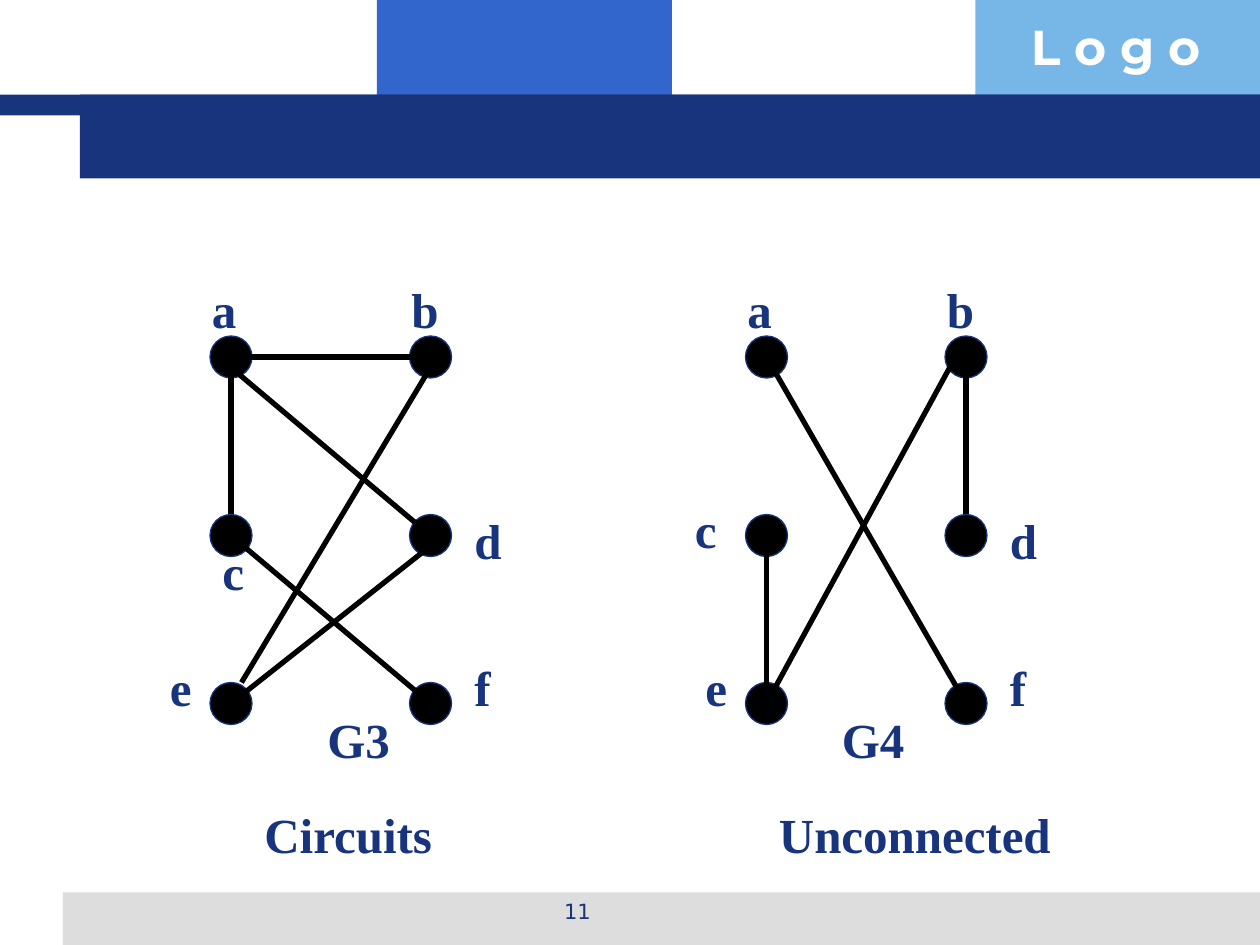
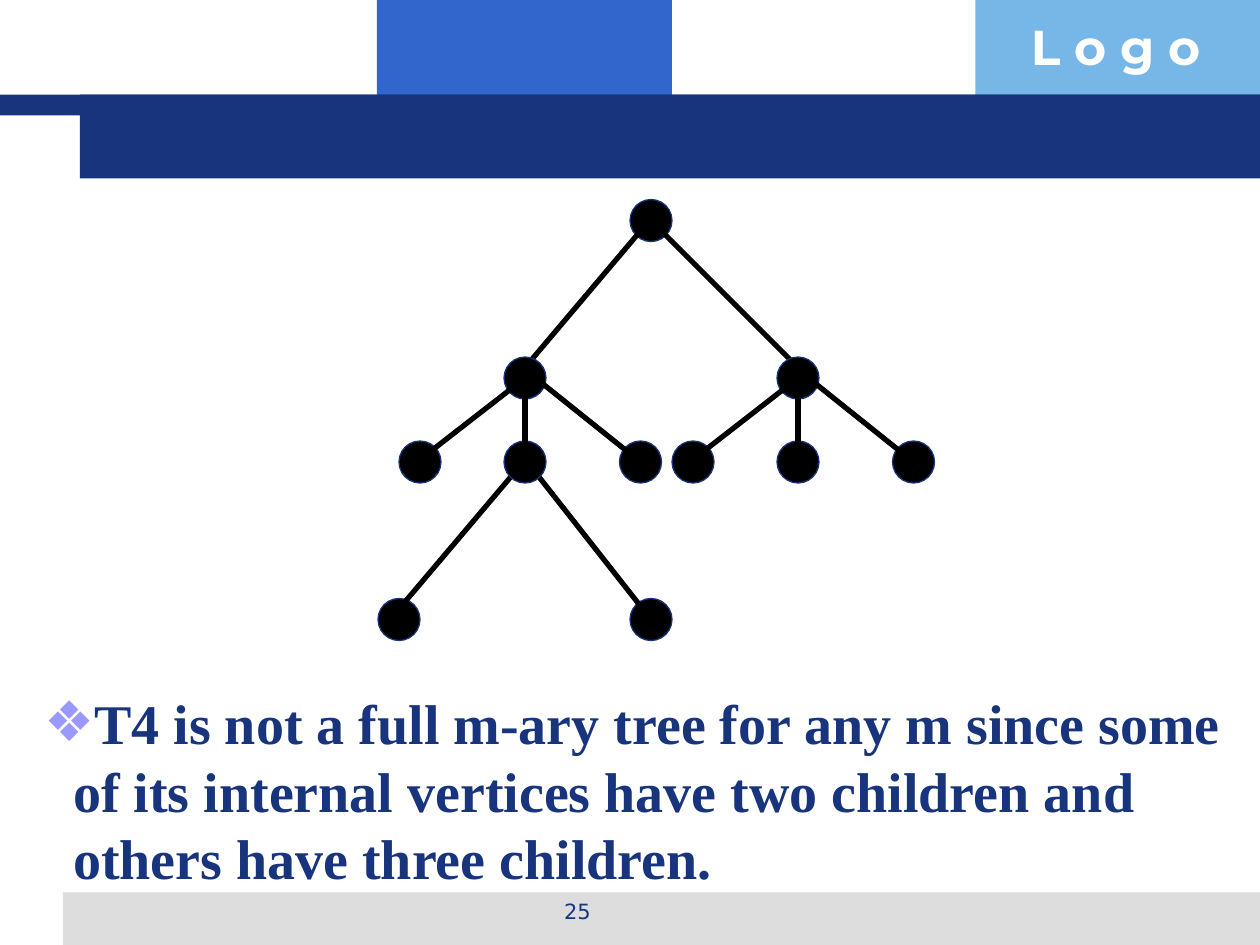
from lxml import etree
from pptx import Presentation, util as u
from pptx.dml.color import RGBColor
from pptx.enum import shapes, text
from pptx.oxml import ns

NAVY = RGBColor(0x17, 0x34, 0x7D)
BLUE = RGBColor(0x33, 0x66, 0xCC)
SKY = RGBColor(0x77, 0xB7, 0xE7)
GREY = RGBColor(0xDD, 0xDD, 0xDD)
BLACK = RGBColor(0, 0, 0)
WHITE = RGBColor(0xFF, 0xFF, 0xFF)
LILAC = RGBColor(0x99, 0x99, 0xFF)

SERIF, SANS, LOGO_FONT = "Times New Roman", "DejaVu Sans", "Montserrat"
COLUMNS, ROWS = 120, 90
VERTEX_SIZE = 4
LABEL_HEIGHT = 6.8

# left, top, width, height in grid cells
BANDS = [
    (35.9, 0, 28.1, 11, BLUE),
    (92.9, 0, 27.1, 11, SKY),
    (6, 85, 114, 5, GREY),
    (0, 9, 120, 2, NAVY),
    (7.6, 9, 112.4, 8, NAVY),
]

# Graph geometry, relative to the left edge of each graph
GRAPH_VERTICES = [(x, y) for x in (22, 41) for y in (34, 51, 67)]
GRAPH_LABELS = {"a": (19, 26), "b": (38, 26), "c": (20, 51),
                "d": (44, 48), "e": (15, 62), "f": (44, 62)}
G3_EDGES = [(22, 35, 22, 49), (40, 34, 22, 34), (41, 35, 23, 65),
            (41, 51, 22, 35), (41, 52, 22, 67), (41, 67, 22, 51)]
G4_EDGES = [(22, 52, 22, 66), (40, 34, 22, 67), (41, 67, 22, 34),
            (41, 35, 41, 49)]
G4_SHIFT = 51

SUBTREE_VERTICES = [(50, 36), (40, 44), (50, 44), (61, 44)]
SUBTREE_EDGES = [(50, 37, 50, 43), (50, 36, 41, 43), (51, 36, 61, 44)]
SUBTREE_SHIFT = 26
TREE_VERTICES = [(62, 21), (38, 59), (62, 59)]
TREE_EDGES = [(61, 22, 50, 35), (63, 22, 76, 35),
              (49, 45, 38, 58), (51, 45, 62, 59)]


class Deck:
    def __init__(self):
        self.prs = Presentation()
        self.prs.slide_width, self.prs.slide_height = u.Inches(10), u.Inches(7.5)
        self.slide = None

    def cells(self, *lengths):
        """Turn alternating column and row counts into slide lengths."""
        units = (self.prs.slide_width / COLUMNS, self.prs.slide_height / ROWS)
        return [u.Emu(round(n * units[i % 2])) for i, n in enumerate(lengths)]

    def start_slide(self, layout, number):
        self.slide = self.prs.slides.add_slide(self.prs.slide_layouts[layout])
        for *box, color in BANDS:
            self.shape(shapes.MSO_SHAPE.RECTANGLE, box, color)
        self.label("L o g o", (97, 1, 23.1, LABEL_HEIGHT), font=LOGO_FONT, color=WHITE)
        self.label(number, (41, 85, 28, 4.2), font=SANS, size=12, bold=False,
                   align=text.PP_ALIGN.CENTER)

    def shape(self, preset, box, fill, outline=None):
        shape = self.slide.shapes.add_shape(preset, *self.cells(*box))
        shape.shadow.inherit = False
        shape.fill.solid()
        shape.fill.fore_color.rgb = fill
        if outline is None:
            shape.line.fill.background()
        else:
            shape.line.color.rgb = outline
            shape.line.width = u.Pt(0.75)

    def vertices(self, centres, shift=0):
        for x, y in centres:
            half = VERTEX_SIZE / 2
            box = (x + shift - half, y - half, VERTEX_SIZE, VERTEX_SIZE)
            self.shape(shapes.MSO_SHAPE.OVAL, box, BLACK, NAVY)

    def edges(self, ends, shift=0):
        for x1, y1, x2, y2 in ends:
            edge = self.slide.shapes.add_connector(
                shapes.MSO_CONNECTOR.STRAIGHT,
                *self.cells(x1 + shift, y1, x2 + shift, y2))
            edge.line.color.rgb = BLACK
            edge.line.width = u.Pt(3)
            etree.SubElement(edge._element.spPr, ns.qn("a:effectLst"))

    def style(self, paragraph, font=SERIF, size=28, color=NAVY, bold=True,
              align=text.PP_ALIGN.LEFT):
        paragraph.alignment = align
        for run in paragraph.runs:
            run.font.name = font
            run.font.size = u.Pt(size)
            run.font.bold = bold
            run.font.color.rgb = color

    def label(self, words, box, **style):
        frame = self.slide.shapes.add_textbox(*self.cells(*box)).text_frame
        frame.word_wrap = True
        frame.text = words
        self.style(frame.paragraphs[0], **style)

    def graph(self, edges, labels, shift=0):
        self.vertices(GRAPH_VERTICES, shift)
        self.edges(edges, shift)
        for name, (x, y) in labels.items():
            self.label(name, (x + shift, y, 5, LABEL_HEIGHT))

    def bullet(self, words, box):
        """Fill the body placeholder with one diamond-bulleted point."""
        body = self.slide.placeholders[1]
        body.left, body.top, body.width, body.height = self.cells(*box)
        frame = body.text_frame
        frame.text = words
        frame.auto_size = text.MSO_AUTO_SIZE.NONE
        frame.vertical_anchor = text.MSO_ANCHOR.TOP
        point = frame.paragraphs[0]
        props = point._p.get_or_add_pPr()
        props.set("marL", str(u.Inches(0.23)))
        props.set("indent", str(-u.Inches(0.23)))
        color = etree.SubElement(props, ns.qn("a:buClr"))
        etree.SubElement(color, ns.qn("a:srgbClr"), val=str(LILAC))
        etree.SubElement(props, ns.qn("a:buFont"), typeface=SANS)
        etree.SubElement(props, ns.qn("a:buChar"), char="❖")
        point.space_before = u.Pt(0)
        self.style(point, size=32)

    def drop_title(self):
        title = self.slide.shapes.title._element
        title.getparent().remove(title)


def graphs_slide(deck):
    deck.start_slide(layout=6, number="11")
    deck.graph(G3_EDGES, GRAPH_LABELS)
    deck.graph(G4_EDGES, {**GRAPH_LABELS, "c": (14, 47)}, G4_SHIFT)
    for words, x, y, width in [("G3", 30, 67, 9), ("G4", 79, 67, 9),
                               ("Circuits", 24, 76, 22),
                               ("Unconnected", 73, 76, 33)]:
        deck.label(words, (x, y, width, LABEL_HEIGHT))


def tree_slide(deck):
    deck.start_slide(layout=1, number="25")
    deck.drop_title()
    deck.vertices(TREE_VERTICES)
    deck.edges(TREE_EDGES)
    for shift in (0, SUBTREE_SHIFT):
        deck.vertices(SUBTREE_VERTICES, shift)
        deck.edges(SUBTREE_EDGES, shift)
    deck.bullet("T4 is not a full m-ary tree for any m since some of its internal "
                "vertices have two children and others have three children.",
                (3, 65, 115, 20.4))


def main():
    deck = Deck()
    graphs_slide(deck)
    tree_slide(deck)
    deck.prs.save("out.pptx")


if __name__ == "__main__":
    main()
